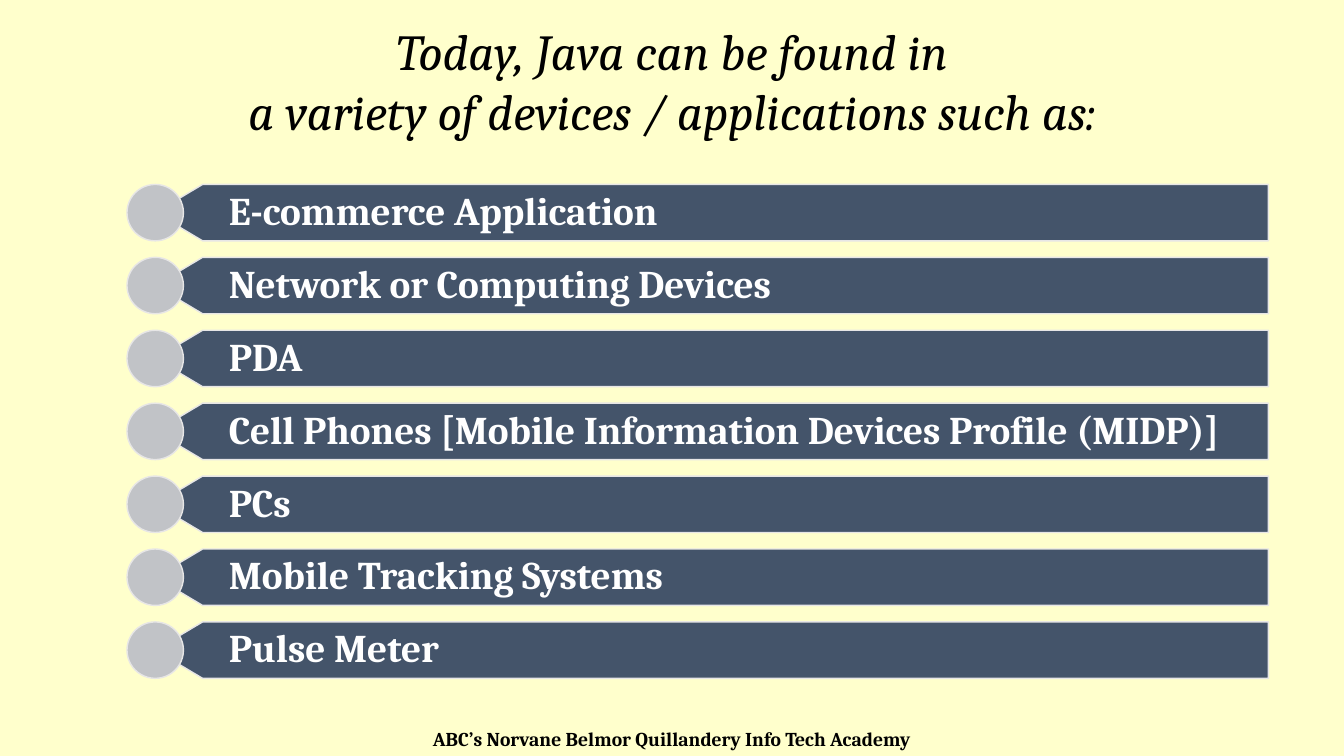
"""Build a slide listing the devices and applications that use Java."""
from pptx import Presentation, util as u
from pptx.dml.color import RGBColor
from pptx.enum import shapes, text

TITLE = ["Today, Java can be found in", "a variety of devices / applications such as:"]
DEVICES = [
    "E-commerce Application",
    "Network or Computing Devices",
    "PDA",
    "Cell Phones [Mobile Information Devices Profile (MIDP)]",
    "PCs",
    "Mobile Tracking Systems",
    "Pulse Meter",
]
FOOTER = ["ABC’s Norvane Belmor Quillandery Info Tech Academy"]
COLORS = {"page": "FFFFCC", "bar": "44546A", "dot": "C1C3C7",
          "edge": "E7E6E6", "ink": "000000", "label": "FFFFFF"}

WIDTH, HEIGHT = u.Inches(13.33), u.Inches(7.5)
LIST_TOP, LAST_TOP, ROW = u.Inches(1.83), u.Inches(6.17), u.Inches(0.56)
PITCH = (LAST_TOP - LIST_TOP) // (len(DEVICES) - 1)
DOT_LEFT, BAR_RIGHT = u.Inches(1.26), u.Inches(12.58)
TIP, SHOULDER = DOT_LEFT + ROW // 2, u.Inches(2.01)


def color(name):
    return RGBColor.from_string(COLORS[name])


def style(p, size, ink, align, bold=False, italic=False):
    p.alignment = align
    p.font.name, p.font.size = "Cambria", u.Pt(size)
    p.font.bold, p.font.italic = bold, italic
    p.font.color.rgb = color(ink)


def paint(sp, fill):
    sp.shadow.inherit = False
    sp.fill.solid()
    sp.fill.fore_color.rgb = color(fill)
    sp.line.color.rgb = color("edge")
    sp.line.width = u.Pt(1)


def add_caption(s, lines, top, height, size, **look):
    tf = s.shapes.add_textbox(0, top, WIDTH, height).text_frame
    tf.word_wrap = True
    tf.auto_size = text.MSO_AUTO_SIZE.SHAPE_TO_FIT_TEXT
    tf.text = "\n".join(lines)
    for p in tf.paragraphs:
        style(p, size, "ink", text.PP_ALIGN.CENTER, **look)


def add_device(s, label, top):
    bottom = top + ROW
    outline = s.shapes.build_freeform(BAR_RIGHT, bottom)
    outline.add_line_segments([(SHOULDER, bottom), (TIP, top + ROW // 2),
                               (SHOULDER, top), (BAR_RIGHT, top)])
    bar = outline.convert_to_shape()
    paint(bar, "bar")
    tf = bar.text_frame
    tf.word_wrap = True
    tf.vertical_anchor = text.MSO_ANCHOR.MIDDLE
    tf.margin_left, tf.margin_right = u.Inches(0.73), u.Inches(0.22)
    tf.margin_top = tf.margin_bottom = u.Inches(0.12)
    tf.text = label
    p = tf.paragraphs[0]
    p.line_spacing = 0.9
    style(p, 28, "label", text.PP_ALIGN.LEFT, bold=True)
    dot = s.shapes.add_shape(shapes.MSO_SHAPE.OVAL, DOT_LEFT, top, ROW, ROW)
    paint(dot, "dot")


def main():
    prs = Presentation()
    prs.slide_width, prs.slide_height = WIDTH, HEIGHT
    s = prs.slides.add_slide(prs.slide_layouts[6])
    s.background.fill.solid()
    s.background.fill.fore_color.rgb = color("page")
    add_caption(s, FOOTER, u.Inches(7.16), u.Inches(0.34), 14, bold=True)
    add_caption(s, TITLE, u.Inches(0.15), u.Inches(1.31), 36, italic=True)
    for i, label in enumerate(DEVICES):
        add_device(s, label, LIST_TOP + i * PITCH)
    prs.save("out.pptx")


if __name__ == "__main__":
    main()
